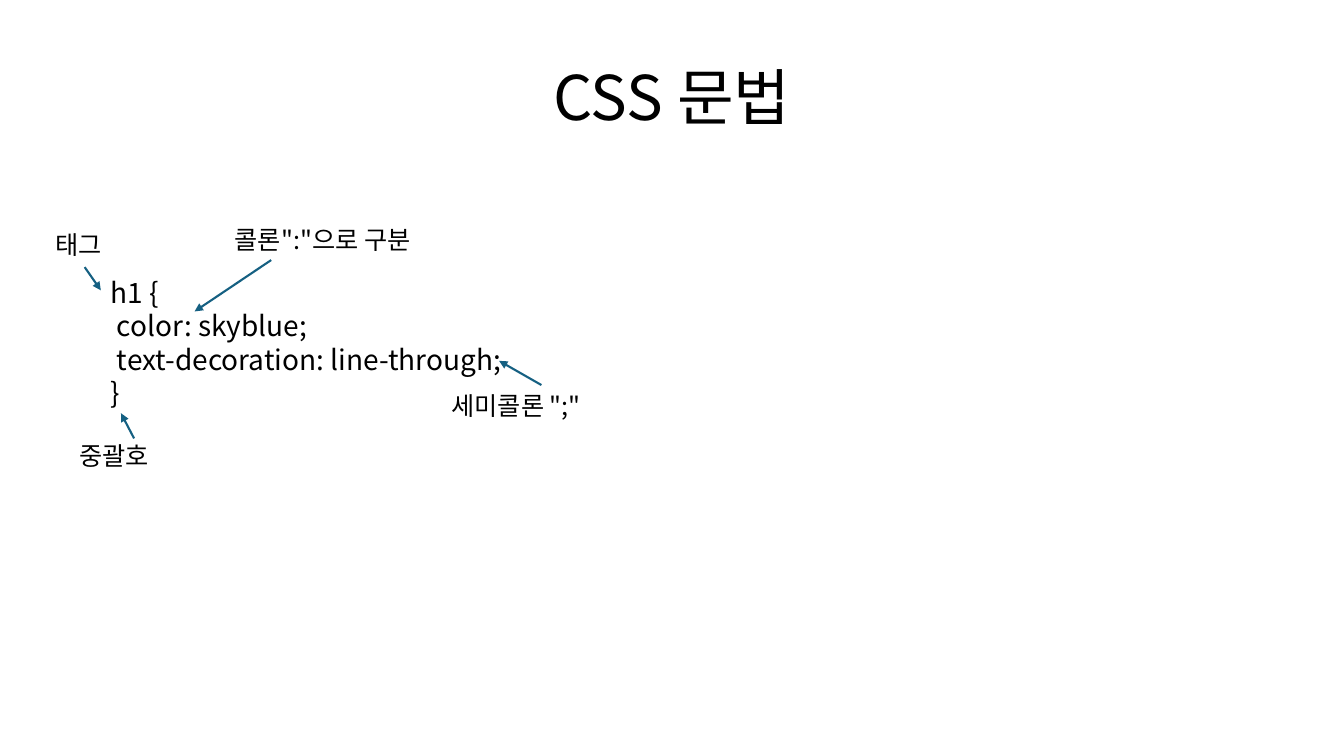
import pptx
import pptx.util
import pptx.dml.color
import pptx.enum.shapes
import pptx.enum.text
import pptx.oxml
import pptx.oxml.ns
from lxml import etree

FONT = "Noto Sans CJK KR"
BLACK = pptx.dml.color.RGBColor(0x00, 0x00, 0x00)
WHITE = pptx.dml.color.RGBColor(0xFF, 0xFF, 0xFF)
TEAL = pptx.dml.color.RGBColor(0x15, 0x60, 0x82)
Inches = pptx.util.Inches
qn = pptx.oxml.ns.qn

CODE = "h1 {\n color: skyblue;\n text-decoration: line-through;\n}"
NOTES = [
    ("태그", (0, 0.05, 1.01), (0.39, 0.47), (0.55, 0.7)),
    ("중괄호", (0.24, 2.14, 1.01), (0.88, 2.17), (0.75, 1.92)),
    ('세미콜론 ";"', (3.93, 1.64, 1.98), (4.92, 1.64), (4.5, 1.4)),
    ('콜론":"으로 구분', (1.78, 0, 2.35), (2.24, 0.4), (1.48, 0.91)),
]


def style(frame, size):
    for para in frame.paragraphs:
        for run in para.runs:
            run.font.name = FONT
            run.font.size = pptx.util.Pt(size)
            run.font.color.rgb = BLACK
            east = etree.SubElement(run.font._element, qn("a:ea"))
            east.set("typeface", FONT)


def add_title(slide, left, top, width, height):
    title = slide.shapes.title
    title.left, title.top = Inches(left), Inches(top)
    title.width, title.height = Inches(width), Inches(height)
    frame = title.text_frame
    frame.text = "CSS 문법"
    frame.auto_size = pptx.enum.text.MSO_AUTO_SIZE.NONE
    frame.vertical_anchor = pptx.enum.text.MSO_ANCHOR.TOP
    frame.paragraphs[0].alignment = pptx.enum.text.PP_ALIGN.CENTER
    style(frame, 44)


def add_text(slide, left, top, width, height, text, size):
    box = slide.shapes.add_textbox(
        Inches(left), Inches(top), Inches(width), Inches(height))
    frame = box.text_frame
    frame.word_wrap = True
    frame.text = text
    style(frame, size)


def add_arrow(slide, start, end):
    line = slide.shapes.add_connector(
        pptx.enum.shapes.MSO_CONNECTOR.STRAIGHT,
        *[Inches(n) for n in start + end])
    line.line.color.rgb = TEAL
    line.line.width = pptx.util.Pt(1.5)
    tail = etree.SubElement(line.line._get_or_add_ln(), qn("a:tailEnd"))
    tail.set("type", "triangle")
    etree.SubElement(line._element.spPr, qn("a:effectLst"))


def add_syntax(slide, left, top):
    add_text(slide, left + 0.55, top + 0.5, 9.86, 1.45, CODE, 20)
    for text, (x, y, width), start, end in NOTES:
        add_text(slide, left + x, top + y, width, 0.4, text, 18)
        add_arrow(slide, (left + start[0], top + start[1]),
                  (left + end[0], top + end[1]))


def main():
    deck = pptx.Presentation()
    deck.slide_width, deck.slide_height = Inches(13.33), Inches(7.5)
    slide = deck.slides.add_slide(deck.slide_layouts[5])
    slide.background.fill.solid()
    slide.background.fill.fore_color.rgb = WHITE
    add_title(slide, 2.69, 0.53, 7.95, 0.84)
    add_syntax(slide, 0.45, 2.18)
    deck.save("out.pptx")


if __name__ == "__main__":
    main()
